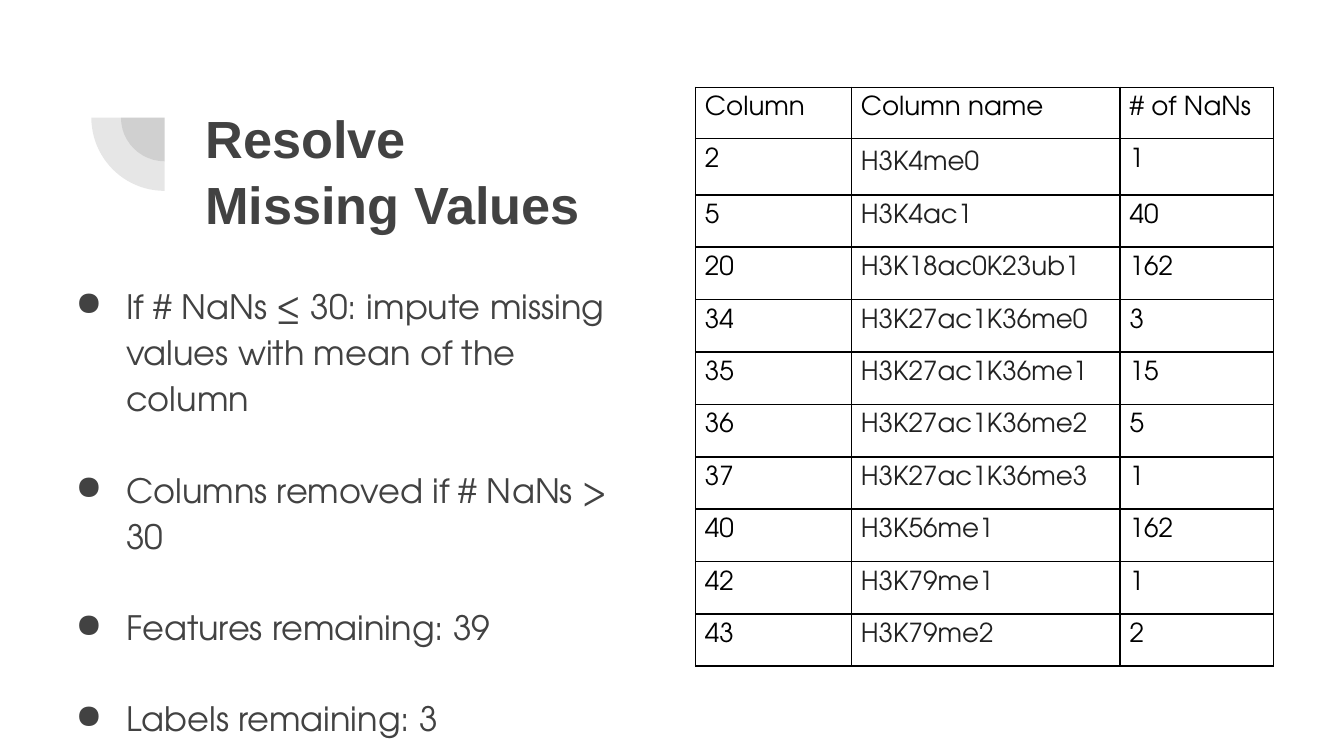
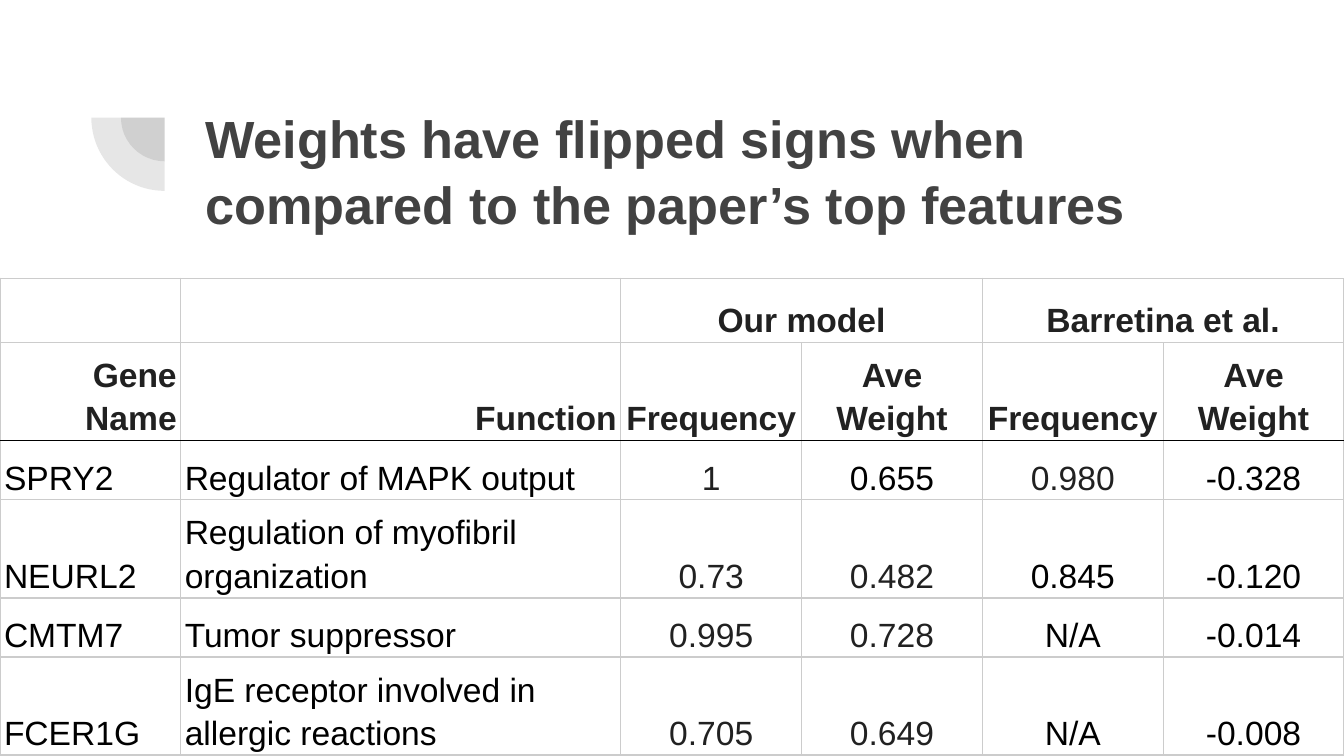
from collections import namedtuple
from dataclasses import dataclass

from lxml.etree import SubElement
from pptx import Presentation
from pptx.dml.color import RGBColor
from pptx.enum.shapes import MSO_SHAPE as Preset
from pptx.enum.text import MSO_ANCHOR as Anchor, PP_ALIGN as Align
from pptx.oxml.ns import qn
from pptx.util import Pt

PX = 4572
Box = namedtuple("Box", "left top width height")


@dataclass(frozen=True)
class Theme:
    """Colours, fonts and type sizes of the deck."""
    ink: str = "424242"
    dark: str = "212121"
    black: str = "000000"
    rule: str = "CCCCCC"
    white: str = "FFFFFF"
    plain: str = "Arial"
    round: str = "TeX Gyre Adventor"
    title: int = 28
    body: int = 18
    small: int = 14


THEME = Theme()
PAGE = Box(0, 0, 2000, 1125)
FAN = Box(136, 66, 218, 218)
TITLE = Box(286, 130, 1538, 218)
BODY = Box(68, 396, 898, 556)
NAN_TABLE = Box(1035, 130, 860, 862)
WEIGHT_TABLE = Box(0, 414, 2000, 594)

BULLETS = (
    "If # NaNs ≤ 30: impute missing values with mean of the column",
    "Columns removed if # NaNs > 30",
    "Features remaining: 39",
    "Labels remaining: 3",
)
NAN_ROWS = (
    ("Column", "Column name", "# of NaNs"),
    ("2", "H3K4me0", "1"),
    ("5", "H3K4ac1", "40"),
    ("20", "H3K18ac0K23ub1", "162"),
    ("34", "H3K27ac1K36me0", "3"),
    ("35", "H3K27ac1K36me1", "15"),
    ("36", "H3K27ac1K36me2", "5"),
    ("37", "H3K27ac1K36me3", "1"),
    ("40", "H3K56me1", "162"),
    ("42", "H3K79me1", "1"),
    ("43", "H3K79me2", "2"),
)
WEIGHT_ROWS = (
    ("", "", "Our model", "", "Barretina et al.", ""),
    ("Gene Name", "Function", "Frequency", "Ave Weight", "Frequency", "Ave Weight"),
    ("SPRY2", "Regulator of MAPK output", "1", "0.655", "0.980", "-0.328"),
    ("NEURL2", "Regulation of myofibril organization", "0.73", "0.482", "0.845", "-0.120"),
    ("CMTM7", "Tumor suppressor", "0.995", "0.728", "N/A", "-0.014"),
    ("FCER1G", "IgE receptor involved in allergic reactions", "0.705", "0.649", "N/A", "-0.008"),
)


def assign(target, values):
    """Set each named attribute of the target."""
    for name, value in values.items():
        setattr(target, name, value)


def scaled(box):
    """Turn a px box into EMU lengths."""
    return [length * PX for length in box]


def write(para, text, font, size, color, bold=False, **layout):
    """Fill a paragraph with text, one run for each line."""
    assign(para, layout)
    for number, line in enumerate(text.split("\n")):
        if number:
            para.add_line_break()
        span = para.add_run()
        span.text = line
        assign(span.font, {"name": font, "size": Pt(size), "bold": bold})
        span.font.color.rgb = RGBColor.from_string(color)


def add_text_frame(page, box, top_inset=20):
    """Add a wrapping text box and return its frame."""
    frame = page.shapes.add_textbox(*scaled(box)).text_frame
    assign(frame, {"word_wrap": True, "vertical_anchor": Anchor.TOP,
                   "margin_left": 20 * PX, "margin_right": 20 * PX,
                   "margin_top": top_inset * PX, "margin_bottom": 20 * PX})
    return frame


def add_fan(page, box):
    """Draw two concentric translucent quarter discs."""
    for inset in (44, 0):
        side = box.width - 2 * inset
        quarter = page.shapes.add_shape(Preset.PIE, *scaled(
            (box.left + inset, box.top + inset, side, side)))
        quarter.adjustments[0], quarter.adjustments[1] = 108, 162
        quarter.rotation = 270
        quarter.shadow.inherit = False
        quarter.line.fill.background()
        quarter.fill.solid()
        quarter.fill.fore_color.rgb = RGBColor.from_string(THEME.ink)
        color = quarter._element.spPr.find(".//" + qn("a:srgbClr"))
        SubElement(color, qn("a:alpha"), val="13000")


def add_title(page, box, text):
    """Write the slide title."""
    frame = add_text_frame(page, box, top_inset=24)
    write(frame.paragraphs[0], text, THEME.plain, THEME.title, THEME.ink,
          bold=True, line_spacing=1.05)


def add_bullets(page, box, items):
    """Write a bulleted list with a line of space between items."""
    frame = add_text_frame(page, box)
    for number, item in enumerate(items):
        para = frame.add_paragraph() if number else frame.paragraphs[0]
        write(para, item, THEME.round, THEME.body, THEME.ink,
              line_spacing=1.15, space_after=Pt(24))
        props = para._p.get_or_add_pPr()
        props.set("marL", str(100 * PX))
        props.set("indent", str(-75 * PX))
        SubElement(SubElement(props, qn("a:buClr")), qn("a:srgbClr"), val=THEME.ink)
        SubElement(props, qn("a:buChar"), char="●")


def add_grid(page, box, widths, heights):
    """Add an unstyled table with the given column widths and row heights."""
    table = page.shapes.add_table(len(heights), len(widths), *scaled(box)).table
    assign(table, {"first_row": False, "horz_banding": False})
    for column, width in zip(table.columns, widths):
        column.width = width * PX
    for row, height in zip(table.rows, heights):
        row.height = height * PX
    return table


def format_cell(cell, inset_x, inset_y, points, borders, fill=None, anchor=Anchor.TOP):
    """Set insets, borders (left, right, top, bottom) and fill of a cell."""
    assign(cell, {"margin_left": inset_x * PX, "margin_right": inset_x * PX,
                  "margin_top": inset_y * PX, "margin_bottom": inset_y * PX,
                  "vertical_anchor": anchor})
    props = cell._tc.get_or_add_tcPr()
    for side, color in zip("LRTB", borders):
        line = SubElement(props, qn("a:ln" + side), w=str(Pt(points)))
        SubElement(SubElement(line, qn("a:solidFill")), qn("a:srgbClr"), val=color)
    if fill:
        cell.fill.solid()
        cell.fill.fore_color.rgb = RGBColor.from_string(fill)
    else:
        cell.fill.background()


def add_nan_table(page, box):
    """List the columns that have missing values."""
    table = add_grid(page, box, (232, 400, 228), (76, 84) + (78,) * 9)
    for r, row in enumerate(NAN_ROWS):
        for c, text in enumerate(row):
            cell = table.cell(r, c)
            format_cell(cell, 14, 14, 1, [THEME.black] * 4)
            color = THEME.dark if r and c == 1 else THEME.black
            spacing = 1.15 if (r, c) == (1, 1) else 1.0
            write(cell.text_frame.paragraphs[0], text, THEME.round,
                  THEME.small, color, line_spacing=spacing)


def add_weight_table(page, box):
    """Compare feature weights of the two models."""
    table = add_grid(page, box, (269, 655) + (269,) * 4, (96, 88, 88, 88, 88, 146))
    for c in (2, 4):
        table.cell(0, c).merge(table.cell(0, c + 1))
    for r, row in enumerate(WEIGHT_ROWS):
        header = r < 2
        dark_columns = (2, 4) if r == 2 else (2, 3)
        for c, text in enumerate(row):
            cell = table.cell(r, c)
            borders = [THEME.rule, THEME.rule,
                       THEME.black if r == 2 else THEME.rule,
                       THEME.black if r == 1 else THEME.rule]
            format_cell(cell, 6, 4, 0.75, borders, THEME.white, Anchor.BOTTOM)
            if not text:
                continue
            side = Align.RIGHT if header else Align.LEFT
            color = THEME.dark if header or c in dark_columns else THEME.black
            write(cell.text_frame.paragraphs[0], text, THEME.plain, THEME.body,
                  color, bold=header, line_spacing=1.15,
                  alignment=Align.CENTER if c > 1 else side)


def add_page(deck, title):
    """Add a white slide with the fan and a title."""
    page = deck.slides.add_slide(deck.slide_layouts[6])
    page.background.fill.solid()
    page.background.fill.fore_color.rgb = RGBColor.from_string(THEME.white)
    add_fan(page, FAN)
    add_title(page, TITLE, title)
    return page


def main():
    """Build and save the deck."""
    deck = Presentation()
    assign(deck, {"slide_width": PAGE.width * PX, "slide_height": PAGE.height * PX})
    missing = add_page(deck, "Resolve\nMissing Values")
    add_bullets(missing, BODY, BULLETS)
    add_nan_table(missing, NAN_TABLE)
    weights = add_page(
        deck, "Weights have flipped signs when compared to the paper’s top features")
    add_weight_table(weights, WEIGHT_TABLE)
    deck.save("out.pptx")


if __name__ == "__main__":
    main()
